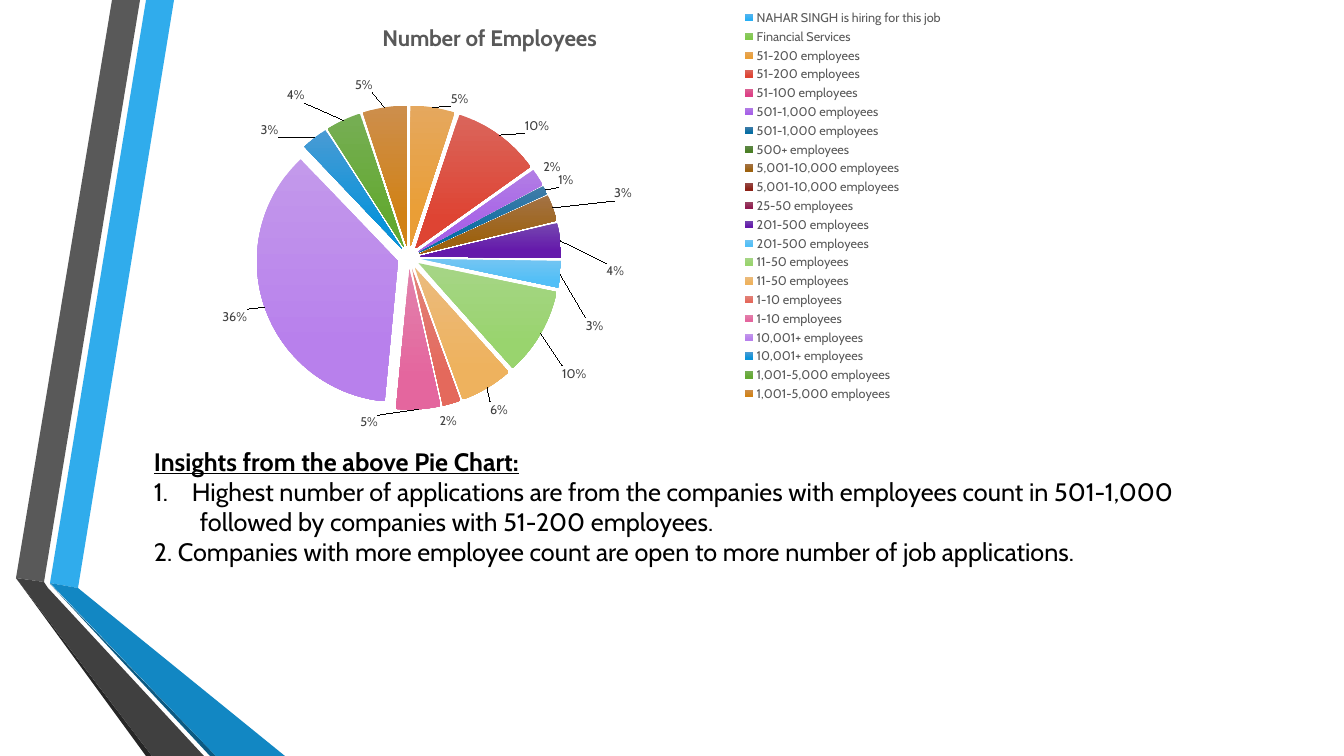
from copy import deepcopy

from pptx import Presentation
from pptx.chart.data import CategoryChartData
from pptx.dml.color import RGBColor
from pptx.enum import chart as charts, text
from pptx.oxml import parse_xml
from pptx.oxml.ns import nsdecls, qn
from pptx.util import Pt

PX = 914400 / 100.8
FONT = "Cabin"
COLORS = {
    "sky": "30ACEC", "gray": "595959", "black": "262626", "navy": "0C5A82",
    "blue": "1287C3", "charcoal": "404040", "text": "000000",
}

# Corner bands, back to front
BANDS = [
    ("sky", [(50, 583), (78, 588), (174, 0), (146, 0)]),
    ("gray", [(140, 0), (112, 0), (16, 578), (44, 582)]),
    ("black", [(16, 578), (146, 756), (152, 756)]),
    ("navy", [(50, 584), (210, 756), (216, 756)]),
    ("blue", [(50, 583), (216, 756), (285, 756), (78, 588)]),
    ("charcoal", [(204, 756), (48, 588), (44, 582), (16, 578), (152, 756)]),
]

# Category, percent, gradient start and end, label shift in px
CHART_WIDTH, CHART_HEIGHT = 859, 440
SLICES = [
    ("NAHAR SINGH is hiring for this job", 0, "57B5EE", "27AFF5", (18, -10)),
    ("Financial Services", 0, "8FC968", "7FC949", (50, -17)),
    ("51-200 employees ", 5, "E5A85E", "EA9E36", (17, 5)),
    ("51-200 employees", 10, "DA655B", "DE4433", (22, 3)),
    ("51-100 employees", 0, "DA6495", "DD4086", (2, -17)),
    ("501-1,000 employees ", 2, "B27DE5", "A660E7", (0, 0)),
    ("501-1,000 employees", 1, "427CA8", "076EA3", (8, 0)),
    ("500+ employees", 0, "61894B", "4B7F26", (10, 10)),
    ("5,001-10,000 employees ", 3, "A37244", "9D6210", (56, -5)),
    ("5,001-10,000 employees", 0, "954A46", "8D2217", (30, 0)),
    ("25-50 employees", 0, "994764", "911A4F", (44, 25)),
    ("201-500 employees ", 4, "7547B0", "651AAB", (40, 39)),
    ("201-500 employees", 3, "74C5F2", "52BFF7", (20, 43)),
    ("11-50 employees ", 10, "A6D586", "99D46E", (16, 29)),
    ("11-50 employees", 6, "EBBB7D", "EEB25E", (0, 9)),
    ("1-10 employees ", 2, "E2837A", "E4695C", (-14, 4)),
    ("1-10 employees", 5, "E282AC", "E4669E", (-50, 0)),
    ("10,001+ employees ", 36, "C399EB", "B880EC", (-12, 0)),
    ("10,001+ employees", 3, "499BD4", "0A93DA", (-33, 4)),
    ("1,001-5,000 employees ", 4, "76AE54", "64A932", (-36, -12)),
    ("1,001-5,000 employees", 5, "CD8E4C", "D18216", (-11, -9)),
]

# Text, left margin and first-line indent in px
INSIGHTS = [
    ("Insights from the above Pie Chart:", 0, 0),
    ("Highest number of applications are from the companies with "
     "employees count in 501-1,000", 38, -38),
    ("followed by companies with 51-200 employees.", 46, 0),
    ("2. Companies with more employee count are open to more number of "
     "job applications.", 0, 0),
]


def px(length):
    return round(length * PX)


def rgb(name):
    return RGBColor.from_string(COLORS[name])


def style_font(font, size, color, bold=False):
    font.name, font.size, font.bold = FONT, Pt(size), bold
    font.color.rgb = rgb(color)


def chart_xml(tag, body):
    return parse_xml(f"<c:{tag} {nsdecls('c')}>{body}</c:{tag}>")


def layout_at(left, top, width=None, height=None, target=""):
    """Chart layout from px lengths inside the chart frame."""
    body = target and f'<c:layoutTarget val="{target}"/>'
    body += '<c:xMode val="edge"/><c:yMode val="edge"/>'
    for tag, length, total in (("x", left, CHART_WIDTH), ("y", top, CHART_HEIGHT),
                               ("w", width, CHART_WIDTH), ("h", height, CHART_HEIGHT)):
        if length is not None:
            body += f'<c:{tag} val="{length / total:.3f}"/>'
    return chart_xml("layout", f"<c:manualLayout>{body}</c:manualLayout>")


def set_layout(element, index, layout):
    old = element.find(qn("c:layout"))
    if old is not None:
        element.remove(old)
    element.insert(index, layout)


def add_band(page, color, points):
    builder = page.shapes.build_freeform(*points[0], scale=PX)
    builder.add_line_segments(points[1:], close=True)
    band = builder.convert_to_shape()
    band.shadow.inherit = False
    band.fill.solid()
    band.fill.fore_color.rgb = rgb(color)
    band.line.fill.background()


def fill_slice(point, start, end):
    fill = point.format.fill
    fill.gradient()
    fill.gradient_angle = 270
    for stop, color, position in zip(fill.gradient_stops, (start, end), (0, 0.78)):
        stop.color.rgb = RGBColor.from_string(color)
        stop.position = position


def shifted_label(index, shift, font_xml):
    x, y = shift[0] / CHART_WIDTH, shift[1] / CHART_HEIGHT
    shows = "".join(
        f'<c:show{part} val="{int(part == "Percent")}"/>'
        for part in ("LegendKey", "Val", "CatName", "SerName", "Percent", "BubbleSize"))
    label = chart_xml(
        "dLbl",
        f'<c:idx val="{index}"/><c:layout><c:manualLayout><c:x val="{x:.3f}"/>'
        f'<c:y val="{y:.3f}"/></c:manualLayout></c:layout>'
        f'<c:dLblPos val="outEnd"/>{shows}')
    label.insert(2, deepcopy(font_xml))
    return label


def add_pie(page):
    data = CategoryChartData()
    data.categories = [part[0] for part in SLICES]
    data.add_series("Series 1", [part[1] for part in SLICES])
    pie = page.shapes.add_chart(
        charts.XL_CHART_TYPE.PIE, px(124), px(-9),
        px(CHART_WIDTH), px(CHART_HEIGHT), data).chart
    style_font(pie.font, 10, "text")

    # Title, legend and plot area
    pie.has_title = True
    title = pie.chart_title
    title.text_frame.text = "Number of Employees"
    style_font(title.text_frame.paragraphs[0].font, 16, "gray", bold=True)
    set_layout(title._element, 1, layout_at(254, 28))
    pie.has_legend = True
    pie.legend.position = charts.XL_LEGEND_POSITION.RIGHT
    pie.legend.include_in_layout = False
    style_font(pie.legend.font, 9, "gray")
    set_layout(pie.legend._element, 1, layout_at(612, 16, 215, 399))
    plot_area = pie._chartSpace.chart.plotArea
    set_layout(plot_area, 0, layout_at(132, 115, 305, 305, "inner"))

    # Slices and percent labels
    plot = pie.plots[0]
    plot.vary_by_categories = True
    series = plot.series[0]
    explosion = parse_xml(f'<c:explosion {nsdecls("c")} val="8"/>')
    series._element.find(qn("c:tx")).addnext(explosion)
    labels = series.data_labels
    labels.show_value, labels.show_percentage = False, True
    labels.position = charts.XL_LABEL_POSITION.OUTSIDE_END
    style_font(labels.font, 9, "charcoal")
    font_xml = labels._element.find(qn("c:txPr"))
    for index, (_, _, start, end, shift) in enumerate(SLICES):
        fill_slice(series.points[index], start, end)
        labels._element.insert(index, shifted_label(index, shift, font_xml))


def add_insights(page):
    box = page.shapes.add_textbox(px(144), px(441), px(1044), px(132))
    frame = box.text_frame
    frame.word_wrap = True
    frame.auto_size = text.MSO_AUTO_SIZE.SHAPE_TO_FIT_TEXT
    for index, (line, margin, indent) in enumerate(INSIGHTS):
        para = frame.paragraphs[0] if index == 0 else frame.add_paragraph()
        para.text = line
        style_font(para.font, 18, "text", bold=index == 0)
        para.font.underline = index == 0
        properties = para._p.get_or_add_pPr()
        properties.set("marL", str(px(margin)))
        properties.set("indent", str(px(indent)))
        if indent:
            properties.insert(0, parse_xml(
                f'<a:buAutoNum {nsdecls("a")} type="arabicPeriod"/>'))


def main():
    deck = Presentation()
    deck.slide_width, deck.slide_height = px(1344), px(756)
    page = deck.slides.add_slide(deck.slide_layouts[6])
    for color, points in BANDS:
        add_band(page, color, points)
    add_pie(page)
    add_insights(page)
    deck.save("out.pptx")


if __name__ == "__main__":
    main()
